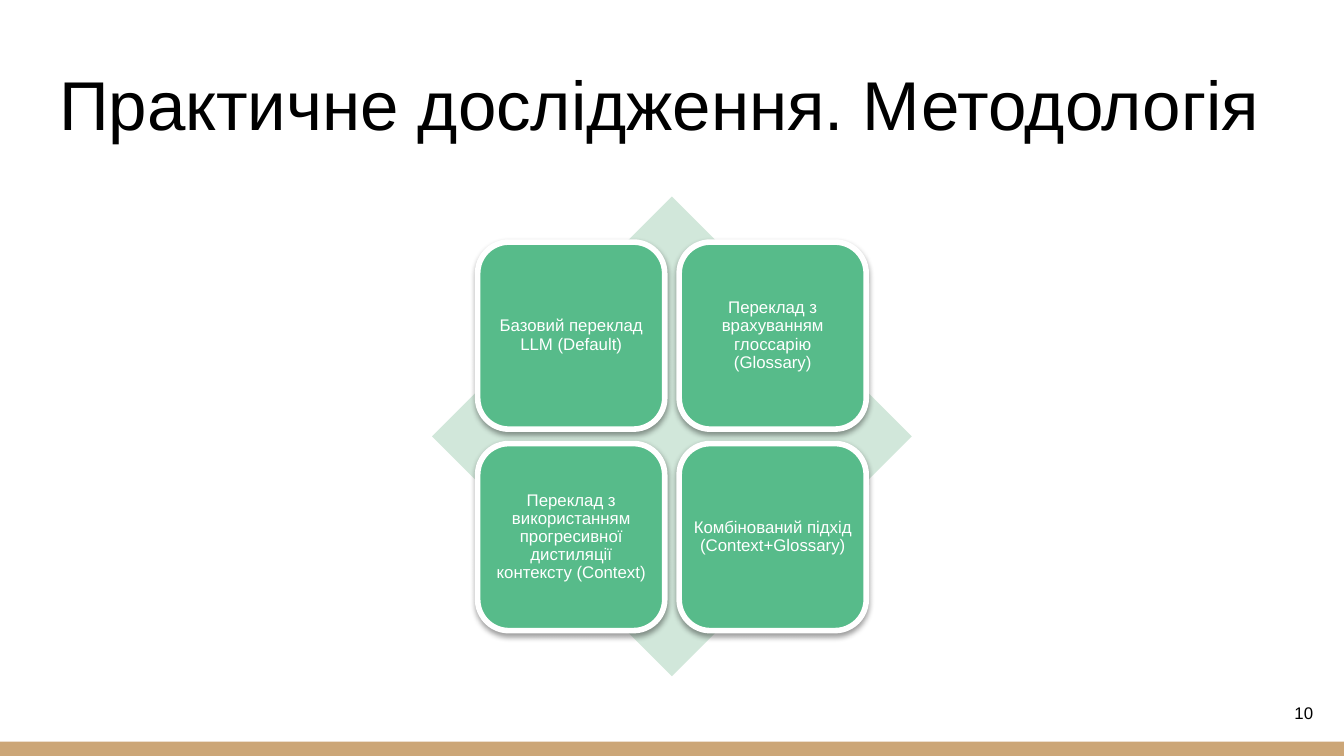
from lxml.etree import SubElement
from pptx import Presentation
from pptx.dml.color import RGBColor
from pptx.enum.shapes import MSO_SHAPE
from pptx.enum.text import MSO_ANCHOR, MSO_AUTO_SIZE, PP_ALIGN
from pptx.oxml.ns import qn
from pptx.util import Pt

WIDTH, HEIGHT = 720, 405
APPROACHES = [
    "Базовий переклад LLM (Default)",
    "Переклад з врахуванням глоссарію (Glossary)",
    "Переклад з використанням прогресивної дистиляції контексту (Context)",
    "Комбінований підхід (Context+Glossary)",
]


def color(hex_value):
    """Turn a hex string into a colour."""
    return RGBColor.from_string(hex_value)


def set_text(shape, text, size, hex_value, align, inset, space_after=0):
    """Write one vertically centred paragraph into a shape."""
    frame = shape.text_frame
    frame.text = text
    frame.word_wrap = True
    frame.auto_size = MSO_AUTO_SIZE.NONE
    frame.vertical_anchor = MSO_ANCHOR.MIDDLE
    frame.margin_left = frame.margin_right = Pt(inset)
    frame.margin_top = frame.margin_bottom = Pt(inset)
    paragraph = frame.paragraphs[0]
    paragraph.alignment = align
    paragraph.line_spacing = 0.9
    paragraph.space_before = Pt(0)
    paragraph.space_after = Pt(space_after)
    font = paragraph.runs[0].font
    font.name = "Arial"
    font.size = Pt(size)
    font.color.rgb = color(hex_value)


def add_filled(shapes, kind, box, hex_value):
    """Add a flat preset shape without outline."""
    shape = shapes.add_shape(kind, *map(Pt, box))
    shape.shadow.inherit = False
    shape.fill.solid()
    shape.fill.fore_color.rgb = color(hex_value)
    shape.line.fill.background()
    return shape


def add_drop_shadow(shape):
    """Give a shape a soft black shadow below it."""
    effects = shape._element.spPr.find(qn("a:effectLst"))
    shadow = SubElement(effects, qn("a:outerShdw"), blurRad=str(Pt(3.1)),
                        dist=str(Pt(1.6)), dir="5400000", rotWithShape="0")
    black = SubElement(shadow, qn("a:srgbClr"), val="000000")
    SubElement(black, qn("a:alpha"), val="38000")


def add_title(slide, left, top, width, height):
    """Place and format the title."""
    title = slide.shapes.title
    title.left, title.top = Pt(left), Pt(top)
    title.width, title.height = Pt(width), Pt(height)
    set_text(title, "Практичне дослідження. Методологія", 37, "000000",
             PP_ALIGN.LEFT, 7.2)


def add_footer(slide, left, top, width, height):
    """Add the bottom band and the page number above its right end."""
    add_filled(slide.shapes, MSO_SHAPE.RECTANGLE, (left, top, width, height), "CCA677")
    number = slide.shapes.add_textbox(
        Pt(left + width - 52.6), Pt(top - 30.4), Pt(43.2), Pt(31))
    set_text(number, "10", 9, "000000", PP_ALIGN.RIGHT, 7.2, 6)


def add_matrix(slide, left, top, side):
    """Add a diamond with a two by two grid of approaches on it."""
    shapes = slide.shapes.add_group_shape().shapes
    add_filled(shapes, MSO_SHAPE.DIAMOND, (left, top, side, side), "D1E7DA")
    tile, margin, step = side * 0.39, side * 0.095, side * 0.42
    for index, approach in enumerate(APPROACHES):
        row, column = divmod(index, 2)
        box = (left + margin + column * step, top + margin + row * step, tile, tile)
        card = add_filled(shapes, MSO_SHAPE.ROUNDED_RECTANGLE, box, "57BB8A")
        card.line.color.rgb = color("FFFFFF")
        card.line.width = Pt(3)
        add_drop_shadow(card)
        set_text(card, approach, 9, "FFFFFF", PP_ALIGN.CENTER, 2.7, 3.15)


def main():
    """Build and save the slide."""
    presentation = Presentation()
    presentation.slide_width, presentation.slide_height = Pt(WIDTH), Pt(HEIGHT)
    slide = presentation.slides.add_slide(presentation.slide_layouts[5])
    add_footer(slide, 0, 397.4, WIDTH, HEIGHT - 397.4)
    add_title(slide, 24.5, 25.2, 671, 65.5)
    add_matrix(slide, 231.5, 105.3, 257)
    presentation.save("out.pptx")


if __name__ == "__main__":
    main()
